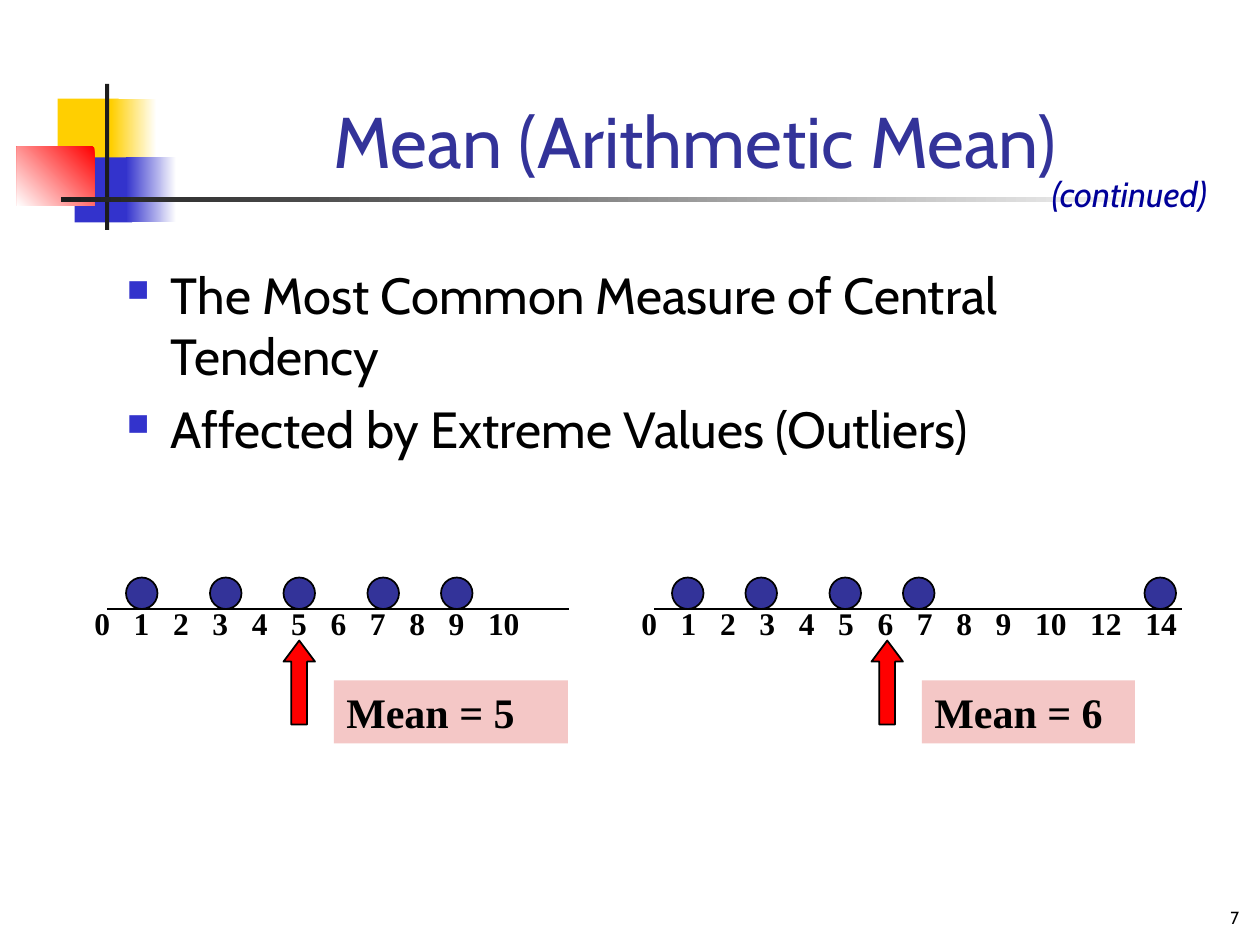
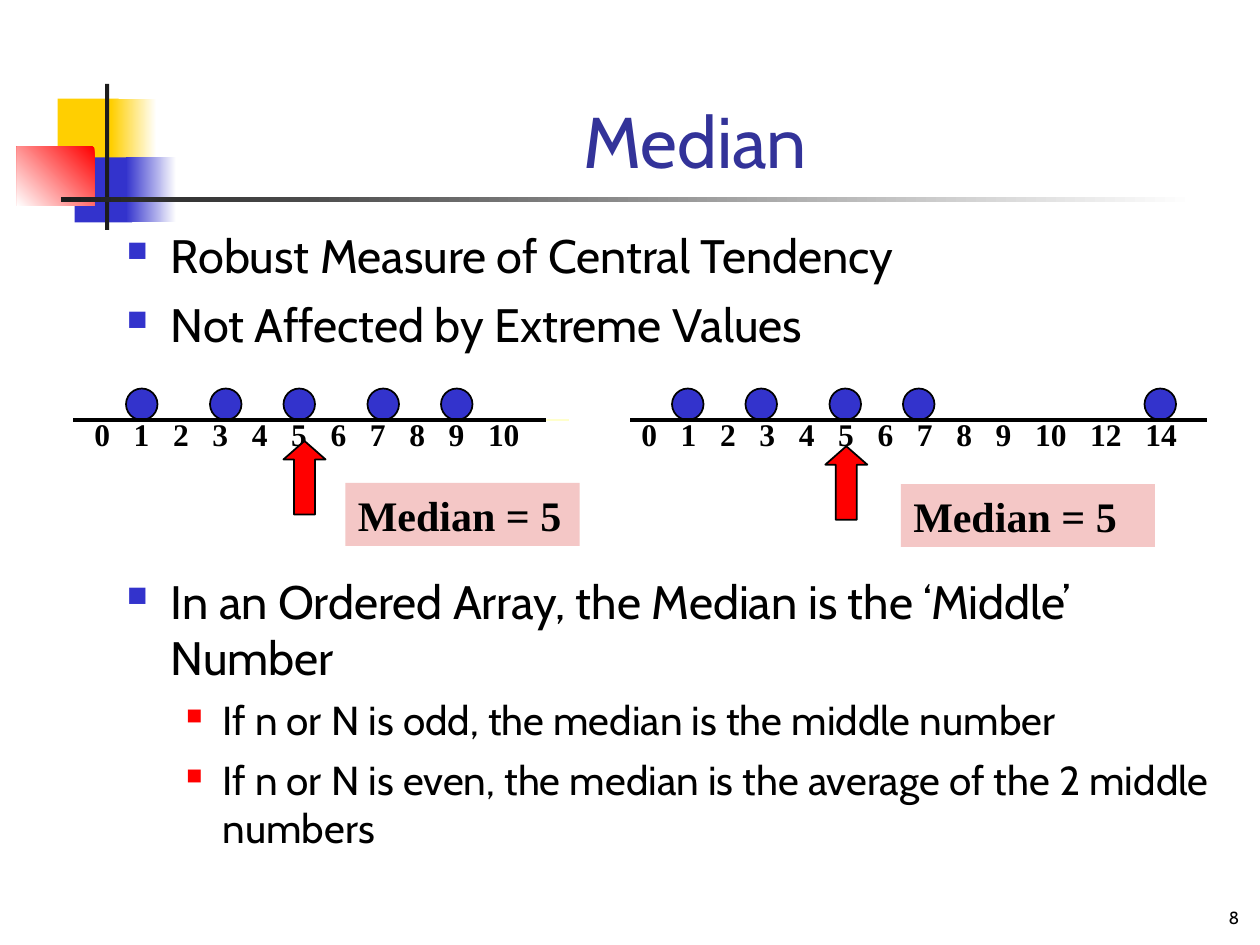
from dataclasses import dataclass
from typing import NamedTuple

from lxml.etree import SubElement
from pptx import Presentation
from pptx.dml.color import RGBColor as Rgb
from pptx.enum.shapes import MSO_CONNECTOR as Link, MSO_SHAPE as Kind
from pptx.enum.text import MSO_ANCHOR as Anchor, PP_ALIGN as Align
from pptx.oxml.ns import qn
from pptx.util import Emu, Inches, Pt

# Grid of 120 columns by 90 rows
WIDE, HIGH = Inches(10), Inches(7.5)
COLS, ROWS = 120, 90


@dataclass(frozen=True)
class Theme:
    sans: str = "Cabin"
    serif: str = "Times New Roman"
    title: str = "333399"
    note: str = "000099"
    ink: str = "000000"
    white: str = "FFFFFF"
    dark: str = "1C1C1C"
    gold: str = "FFCF01"
    blue: str = "3333CC"
    red: str = "FF0000"
    pink: str = "F4C7C6"
    pale: str = "FFFFCC"
    head_pt: float = 41
    note_pt: float = 20
    tick_pt: float = 18
    tag_pt: float = 24
    page_pt: float = 10
    thin: float = 1
    thick: float = 2.25


LOOK = Theme()


class Area(NamedTuple):
    col: float
    row: float
    cols: float
    rows: float


class Style(NamedTuple):
    size: float
    color: str = LOOK.ink
    font: str = LOOK.sans
    bold: bool = False
    slant: bool = False


class Level(NamedTuple):
    left: float
    hang: float
    color: str
    share: int
    space: float


class Item(NamedTuple):
    text: str
    size: float
    level: int = 0


class Block(NamedTuple):
    area: Area
    items: tuple


class Plot(NamedTuple):
    line: tuple
    ticks: Area
    marks: tuple
    dots: tuple
    arrow: Area
    tag: Area
    text: str


class Page(NamedTuple):
    title: str
    number: int
    blocks: tuple
    row: float
    dot: str
    weight: float
    tip: float
    plots: tuple
    under: tuple = ()
    note: str = ""


LEVELS = (Level(0.35, 0.35, LOOK.blue, 60, 7.3),
          Level(0.76, 0.29, LOOK.red, 55, 6.2))


# Basic parts
def across(cols: float) -> Emu:
    return Emu(round(WIDE * cols / COLS))


def down(rows: float) -> Emu:
    return Emu(round(HIGH * rows / ROWS))


def place(area: Area) -> tuple:
    return across(area.col), down(area.row), across(area.cols), down(area.rows)


def shape(slide, kind, area: Area, color: str, fade: str = "",
          angle: float = 180, edge: str = ""):
    item = slide.shapes.add_shape(kind, *place(area))
    item.shadow.inherit = False
    if fade:
        item.fill.gradient()
        item.fill.gradient_angle = angle
        for stop, tone in zip(item.fill.gradient_stops, (color, fade)):
            stop.color.rgb = Rgb.from_string(tone)
    else:
        item.fill.solid()
        item.fill.fore_color.rgb = Rgb.from_string(color)
    if edge:
        item.line.color.rgb = Rgb.from_string(edge)
        item.line.width = Pt(LOOK.thin)
    else:
        item.line.fill.background()
    return item


def rule(slide, ends: tuple, row: float, color: str, weight: float) -> None:
    start, stop = map(across, ends)
    line = slide.shapes.add_connector(Link.STRAIGHT, start, down(row), stop, down(row))
    line.line.color.rgb = Rgb.from_string(color)
    line.line.width = Pt(weight)
    SubElement(line._element.spPr, qn("a:effectLst"))


def write(para, text: str, style: Style, align=Align.LEFT) -> None:
    para.alignment = align
    run = para.add_run()
    run.text = text
    font = run.font
    font.name, font.size = style.font, Pt(style.size)
    font.bold, font.italic = style.bold, style.slant
    font.color.rgb = Rgb.from_string(style.color)


def frame(item, side: float = 0.1, anchor=Anchor.TOP):
    text = item.text_frame
    text.word_wrap = True
    text.vertical_anchor = anchor
    text.margin_left = text.margin_right = Inches(side)
    text.margin_top = text.margin_bottom = Inches(0.05)
    return text


def label(slide, area: Area, text: str, style: Style, side: float = 0.1,
          anchor=Anchor.TOP, align=Align.LEFT):
    para = frame(slide.shapes.add_textbox(*place(area)), side, anchor).paragraphs[0]
    write(para, text, style, align)
    return para


# Bulleted text
def bullet(para, level: Level) -> None:
    props = para._p.get_or_add_pPr()
    props.set("marL", str(Inches(level.left)))
    props.set("indent", str(-Inches(level.hang)))
    tone = SubElement(props, qn("a:buClr"))
    SubElement(tone, qn("a:srgbClr"), val=level.color)
    SubElement(props, qn("a:buSzPct"), val=str(level.share * 1000))
    SubElement(props, qn("a:buChar"), char="■")


def body(slide, block: Block) -> None:
    text = frame(slide.shapes.add_textbox(*place(block.area)), 0.09)
    for i, item in enumerate(block.items):
        para = text.add_paragraph() if i else text.paragraphs[0]
        level = LEVELS[item.level]
        bullet(para, level)
        if i:
            para.space_before = Pt(level.space)
        write(para, item.text, Style(item.size))


# Number line with dots, arrow and tag
def scale(slide, area: Area, marks: tuple) -> None:
    style = Style(LOOK.tick_pt, font=LOOK.serif, bold=True)
    para = label(slide, area, "\t".join(marks), style)
    tabs = SubElement(para._p.get_or_add_pPr(), qn("a:tabLst"))
    stop = 0.0
    for mark in marks[:-1]:
        # A digit is half an em wide, a gap three quarters
        stop += LOOK.tick_pt * (0.5 * len(mark) + 0.75)
        SubElement(tabs, qn("a:tab"), pos=str(Pt(stop)), algn="l")


def plot(slide, page: Page, part: Plot) -> None:
    for col in part.dots:
        shape(slide, Kind.OVAL, Area(col, page.row - 3, 3, 3), page.dot, edge=LOOK.ink)
    rule(slide, part.line, page.row, LOOK.ink, page.weight)
    scale(slide, part.ticks._replace(row=page.row - 1.1), part.marks)
    arrow = shape(slide, Kind.UP_ARROW, part.arrow, LOOK.red, edge=LOOK.ink)
    arrow.adjustments[0], arrow.adjustments[1] = 0.5, page.tip
    tag = frame(shape(slide, Kind.RECTANGLE, part.tag, LOOK.pink))
    write(tag.paragraphs[0], part.text, Style(LOOK.tag_pt, font=LOOK.serif, bold=True))


# Shared squares, rules, title and page number
DECOR = (
    (Area(5.5, 9.4, 5.8, 6.2), LOOK.gold),
    (Area(10.6, 9.4, 4.3, 6.2), LOOK.white, LOOK.gold),
    (Area(7.1, 15, 5.5, 6.2), LOOK.blue),
    (Area(12, 15, 4.8, 6.2), LOOK.white, LOOK.blue),
    (Area(1.6, 14, 7.4, 5.6), LOOK.red, LOOK.white, 225),
    (Area(10, 8, 0.4, 13.9), LOOK.dark),
    (Area(5.8, 18.8, 108, 0.4), LOOK.white, LOOK.dark),
)


def build(deck, page: Page) -> None:
    slide = deck.slides.add_slide(deck.slide_layouts[5])
    for area, *paint in DECOR:
        shape(slide, Kind.RECTANGLE, area, *paint)
    title = slide.shapes.title
    title.left, title.top, title.width, title.height = place(Area(15.1, 3, 102.2, 15))
    write(frame(title, 0.09, Anchor.BOTTOM).paragraphs[0], page.title,
          Style(LOOK.head_pt, LOOK.title), Align.CENTER)
    for block in page.blocks:
        body(slide, block)
    if page.note:
        label(slide, Area(99, 15.8, 21, 5.3), page.note,
              Style(LOOK.note_pt, LOOK.note, slant=True))
    for ends in page.under:
        rule(slide, ends, page.row, LOOK.pale, LOOK.thin)
    for part in page.plots:
        plot(slide, page, part)
    label(slide, Area(94.1, 82.9, 25, 6.1), str(page.number), Style(LOOK.page_pt),
          0.09, Anchor.BOTTOM, Align.RIGHT)


# Content
SHORT = tuple(str(n) for n in range(11))
LONG = SHORT + ("12", "14")
LEFT = (12, 20, 27, 35, 42)
RIGHT = (64, 71, 79, 86, 109)
TICKS_A = Area(7.8, 0, 52.3, 4.8)
TICKS_B = Area(59.9, 0, 56.3, 8.4)

PAGES = (
    Page("Mean (Arithmetic Mean)", 7,
         (Block(Area(11, 24.5, 106, 59.5), (
             Item("The Most Common Measure of Central Tendency", 29),
             Item("Affected by Extreme Values (Outliers)", 29))),),
         58, LOOK.title, LOOK.thin, 0.67,
         (Plot((10.2, 54.2), TICKS_A, SHORT, LEFT, Area(27, 61, 3, 8),
               Area(31.8, 64.8, 22.3, 6), "Mean = 5"),
          Plot((62.3, 112.6), TICKS_B, LONG, RIGHT, Area(83, 61, 3, 8),
               Area(87.8, 64.8, 20.3, 6), "Mean = 6")),
         note="(continued)"),
    Page("Median", 8,
         (Block(Area(11, 21, 106, 13), (
             Item("Robust Measure of Central Tendency", 26.8),
             Item("Not Affected by Extreme Values", 26.8))),
          Block(Area(11, 53.9, 106, 28), (
              Item("In an Ordered Array, the Median is the ‘Middle’ Number", 26.8),
              Item("If n or N is odd, the median is the middle number", 23.1, 1),
              Item("If n or N is even, the median is the average of the 2 middle numbers",
                   23.1, 1)))),
         40, LOOK.blue, LOOK.thick, 0.44,
         (Plot((7, 52), TICKS_A, SHORT, LEFT, Area(27, 42, 4, 7),
               Area(32.9, 46, 22.3, 6), "Median = 5"),
          Plot((60, 115), TICKS_B, LONG, RIGHT, Area(78.6, 42.5, 4, 7),
               Area(85.8, 46.1, 24.2, 6), "Median = 5")),
         under=((10.2, 54.2),)),
)


def main() -> None:
    deck = Presentation()
    deck.slide_width, deck.slide_height = WIDE, HIGH
    for page in PAGES:
        build(deck, page)
    deck.save("out.pptx")


if __name__ == "__main__":
    main()
